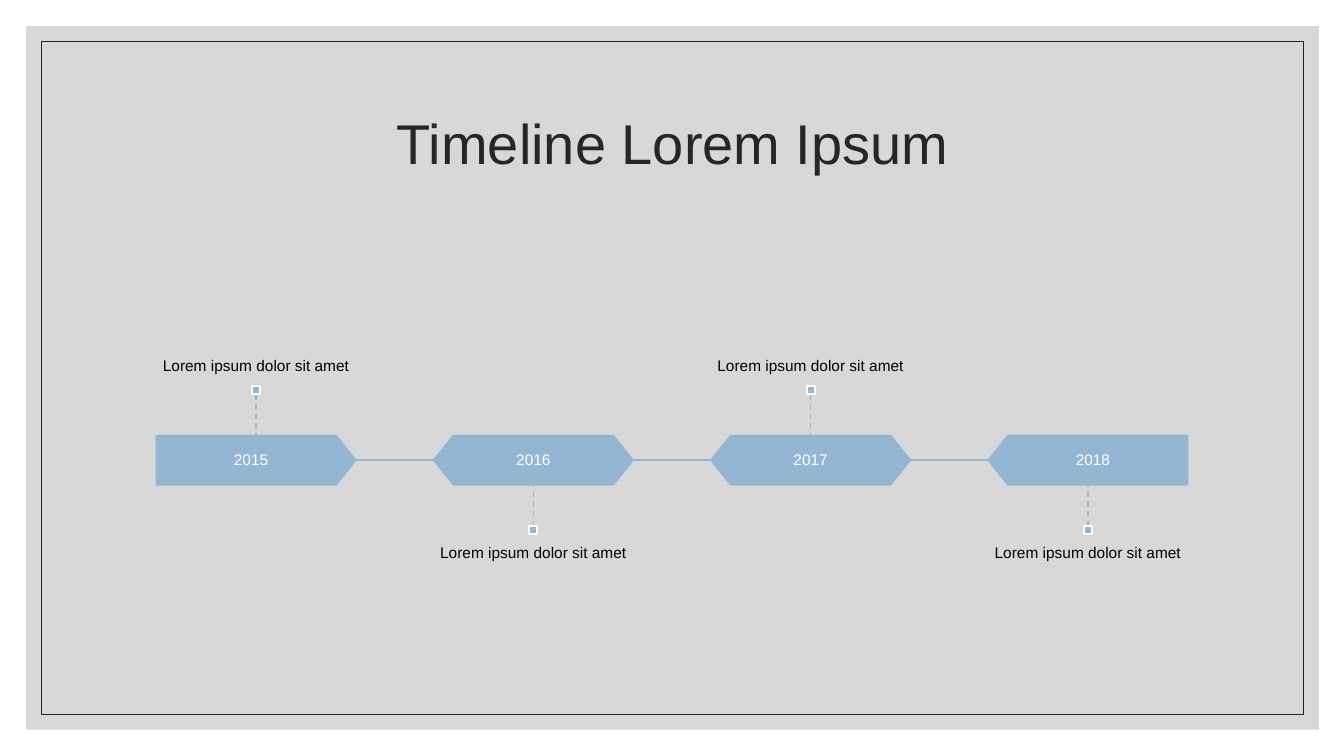
from dataclasses import dataclass

from pptx import Presentation
from pptx.dml.color import RGBColor
from pptx.enum import dml, shapes, text
from pptx.oxml.ns import qn
from pptx.util import Inches, Pt
from lxml import etree

SHAPE = shapes.MSO_SHAPE
ANCHOR = text.MSO_ANCHOR


@dataclass(frozen=True)
class Theme:
    font: str = "Arial"
    panel: str = "BFBFBF"
    dark: str = "262626"
    accent: str = "94B6D2"
    white: str = "FFFFFF"
    black: str = "000000"
    title: float = 40
    body: float = 11


@dataclass(frozen=True)
class Box:
    left: float
    top: float
    width: float
    height: float

    def emu(self) -> list:
        return [Inches(v) for v in (self.left, self.top, self.width, self.height)]


@dataclass(frozen=True)
class Stop:
    year: str
    note: str
    kind: int
    above: bool
    turn: int = 0
    shift: float = 0


THEME = Theme()
NOTE = "Lorem ipsum dolor sit amet"
STOPS = [
    Stop("2015", NOTE, SHAPE.PENTAGON, True, shift=-0.05),
    Stop("2016", NOTE, SHAPE.HEXAGON, False),
    Stop("2017", NOTE, SHAPE.HEXAGON, True),
    Stop("2018", NOTE, SHAPE.PENTAGON, False, turn=180, shift=0.05),
]
LEFT, TOP, STEP = 1.55, 4.32, 2.75
WIDE, HIGH = 1.98, 0.49
MID = TOP + HIGH / 2
STEM, DOT = 0.41, 0.08


def color(code: str) -> RGBColor:
    return RGBColor.from_string(code)


def write(shape, words: str, *, size: float = THEME.body, ink: str = THEME.black,
          anchor=ANCHOR.MIDDLE, pad: tuple = (0.1, 0.05)) -> None:
    """Set one centred line of text; pad holds side and top insets."""
    frame = shape.text_frame
    frame.word_wrap = True
    frame.auto_size = text.MSO_AUTO_SIZE.NONE
    frame.vertical_anchor = anchor
    frame.margin_left = frame.margin_right = Inches(pad[0])
    frame.margin_top = frame.margin_bottom = Inches(pad[1])
    para = frame.paragraphs[0]
    para.alignment = text.PP_ALIGN.CENTER
    para.line_spacing = 0.9
    run = para.add_run()
    run.text = words
    run.font.name, run.font.size = THEME.font, Pt(size)
    run.font.color.rgb = color(ink)


def block(slide, kind: int, box: Box, *, fill: str = "", line: str = "",
          weight: float = 1):
    shape = slide.shapes.add_shape(kind, *box.emu())
    shape.shadow.inherit = False
    if fill:
        shape.fill.solid()
        shape.fill.fore_color.rgb = color(fill)
    else:
        shape.fill.background()
    if line:
        shape.line.color.rgb = color(line)
        shape.line.width = Pt(weight)
    else:
        shape.line.fill.background()
    return shape


def label(slide, box: Box, words: str, **style) -> None:
    write(slide.shapes.add_textbox(*box.emu()), words, **style)


def wire(slide, start: tuple, end: tuple, dash: bool = False):
    link = slide.shapes.add_connector(
        shapes.MSO_CONNECTOR.STRAIGHT, *[Inches(v) for v in (*start, *end)])
    link.line.color.rgb = color(THEME.accent)
    link.line.width = Pt(1)
    if dash:
        link.line.dash_style = dml.MSO_LINE.DASH
    etree.SubElement(link.element.spPr, qn("a:effectLst"))
    return link


def frame(slide) -> None:
    """Draw the translucent panel and its thin inner border."""
    panel = block(slide, SHAPE.RECTANGLE, Box(0.26, 0.26, 12.82, 6.98), fill=THEME.panel)
    tint = panel.element.spPr.find(qn("a:solidFill"))[0]
    etree.SubElement(tint, qn("a:alpha"), val="60000")
    block(slide, SHAPE.RECTANGLE, Box(0.41, 0.41, 12.52, 6.68),
          line=THEME.dark, weight=0.5)


def head(slide, words: str) -> None:
    title = slide.shapes.title
    title.left, title.top, title.width, title.height = Box(1.17, 0.7, 11, 1.5).emu()
    write(title, words, size=THEME.title, ink=THEME.dark)
    slide.shapes.element.append(title.element)  # bring in front of the panel


def mark(slide, stop: Stop, left: float) -> None:
    """Draw one stop: year shape, note, dashed stem and square dot."""
    mid = left + WIDE / 2
    badge = block(slide, stop.kind, Box(left, TOP, WIDE, HIGH),
                  fill=THEME.accent, line=THEME.accent)
    badge.adjustments[0] = 0.4
    badge.rotation = stop.turn
    label(slide, Box(left + stop.shift, TOP, WIDE, HIGH), stop.year,
          ink=THEME.white, pad=(0.09, 0.09))

    if stop.above:
        edge, tip, dot, note = TOP, TOP - STEM, TOP - STEM - DOT, 2.53
        anchor, side = ANCHOR.BOTTOM, 2
    else:
        edge = TOP + HIGH
        tip = dot = edge + STEM
        note, anchor, side = 5.3, ANCHOR.TOP, 0
    label(slide, Box(mid - STEP / 2, note, STEP, 1.3), stop.note,
          anchor=anchor, pad=(0, 0.11))
    stem = wire(slide, (mid, tip), (mid, edge), dash=True)
    knob = block(slide, SHAPE.RECTANGLE, Box(mid - DOT / 2, dot, DOT, DOT),
                 fill=THEME.accent, line=THEME.white, weight=1.5)
    stem.begin_connect(knob, side)


def main() -> None:
    deck = Presentation()
    deck.slide_width, deck.slide_height = Inches(13.33), Inches(7.5)
    slide = deck.slides.add_slide(deck.slide_layouts[5])
    frame(slide)
    head(slide, "Timeline Lorem Ipsum")
    for i, stop in enumerate(STOPS):
        left = LEFT + i * STEP
        mark(slide, stop, left)
        if i < len(STOPS) - 1:
            wire(slide, (left + WIDE, MID), (left + STEP, MID))
    deck.save("out.pptx")


if __name__ == "__main__":
    main()
